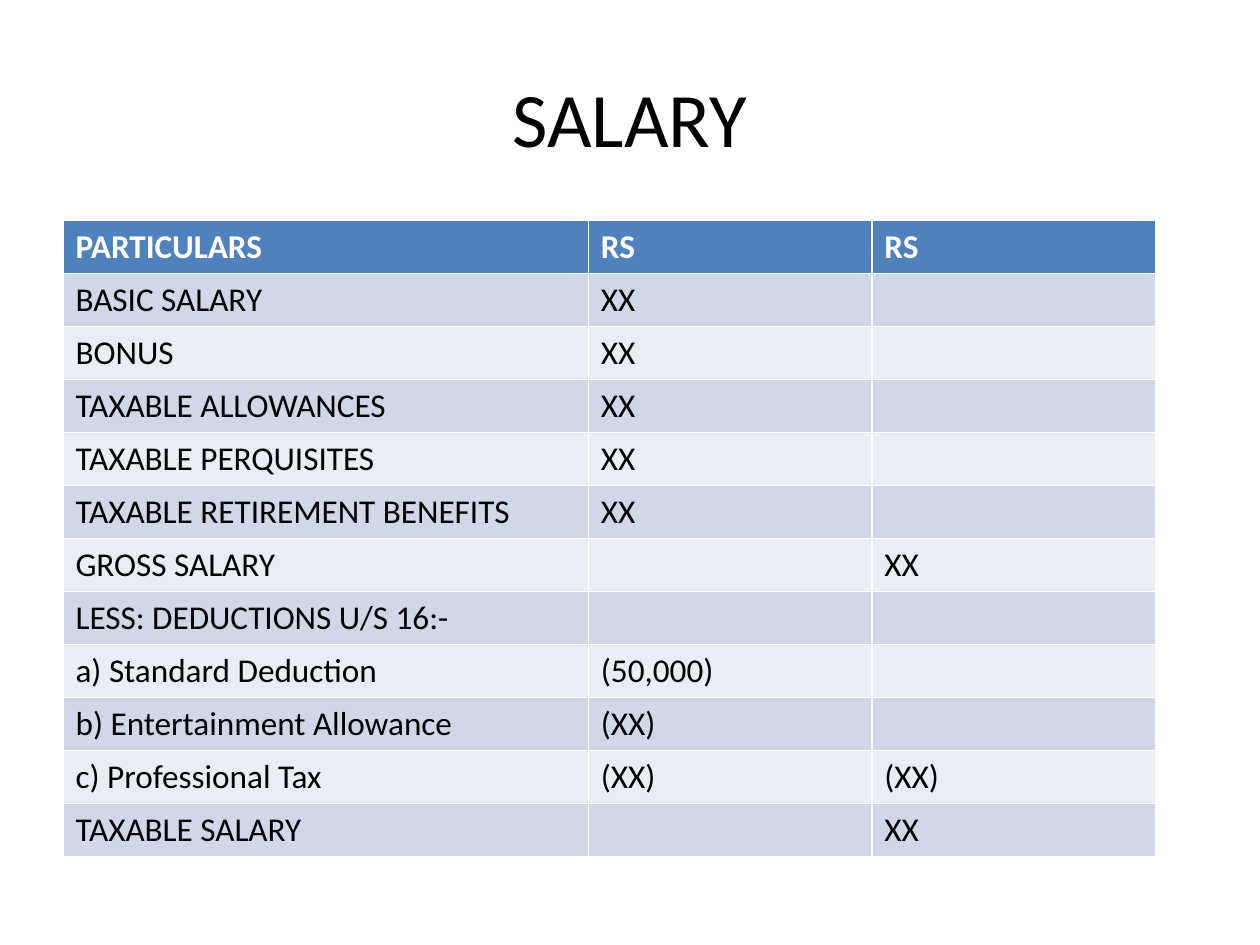
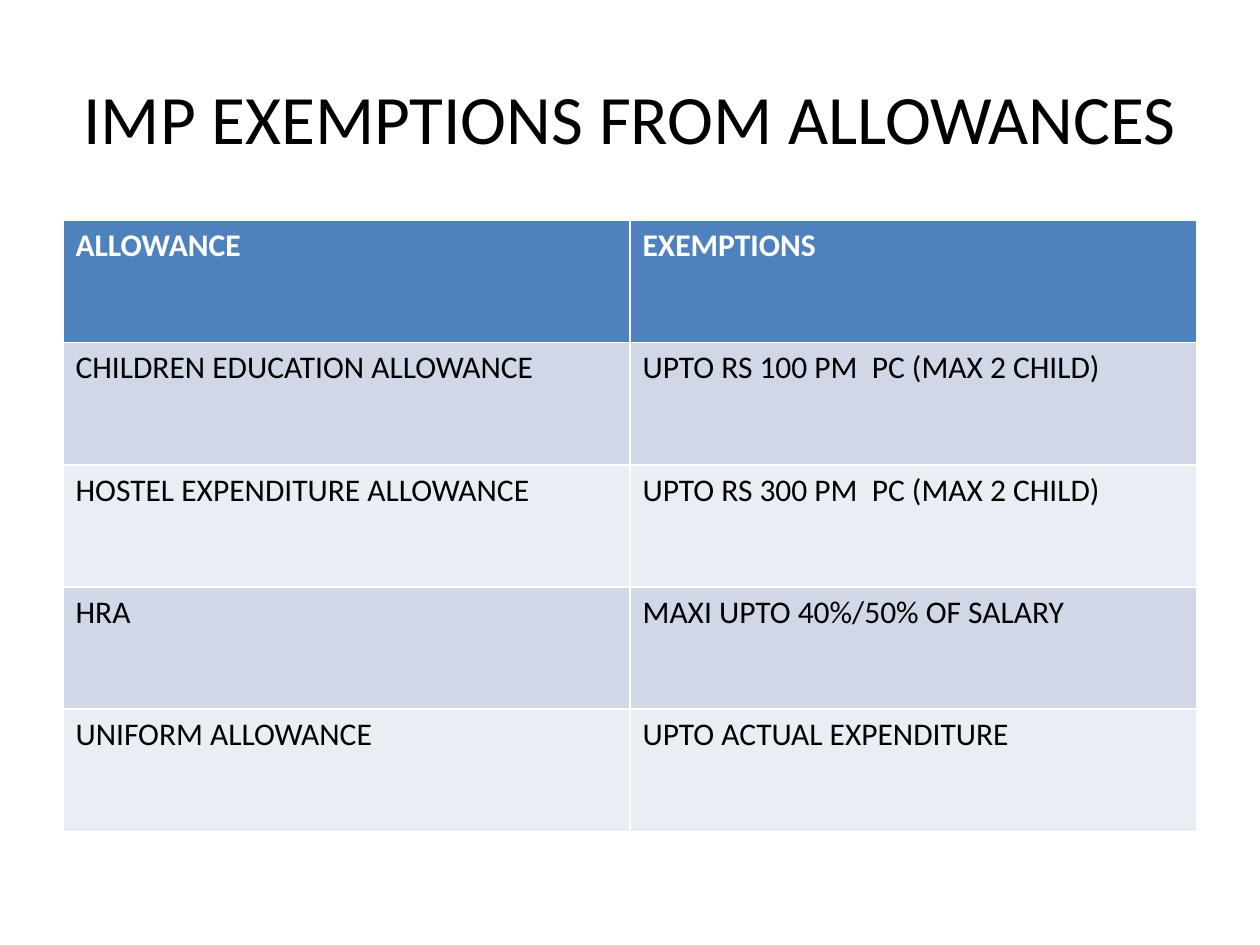
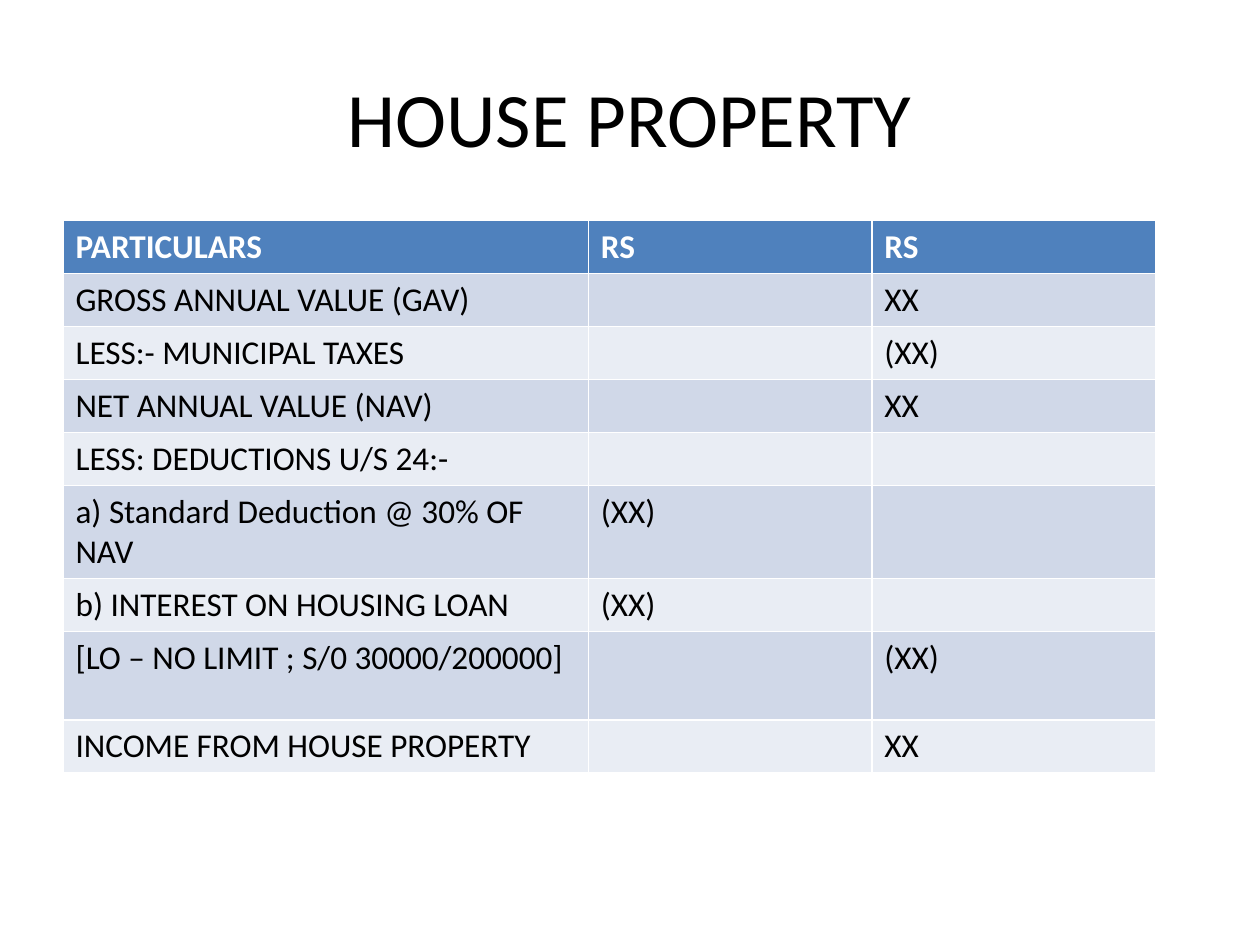
from pptx import Presentation
from pptx.dml.color import RGBColor
from pptx.enum.text import MSO_ANCHOR, MSO_AUTO_SIZE, PP_ALIGN
from pptx.util import Inches, Pt

FONT = "Calibri"
BLACK = RGBColor(0x00, 0x00, 0x00)
WHITE = RGBColor(0xFF, 0xFF, 0xFF)
HEADER_BLUE = RGBColor(0x4F, 0x81, 0xBD)
BAND_DARK = RGBColor(0xD0, 0xD8, 0xE8)
BAND_LIGHT = RGBColor(0xE9, 0xED, 0xF4)

STATEMENT_COLUMNS = [4.17, 2.25, 2.25]
ROW_HEIGHT = 0.42
TALL_ROW_HEIGHT = 0.7

SALARY_ROWS = [
    ("PARTICULARS", "RS", "RS"),
    ("BASIC SALARY", "XX", ""),
    ("BONUS", "XX", ""),
    ("TAXABLE ALLOWANCES", "XX", ""),
    ("TAXABLE PERQUISITES", "XX", ""),
    ("TAXABLE RETIREMENT BENEFITS", "XX", ""),
    ("GROSS SALARY", "", "XX"),
    ("LESS: DEDUCTIONS U/S 16:-", "", ""),
    ("a) Standard Deduction", "(50,000)", ""),
    ("b) Entertainment Allowance", "(XX)", ""),
    ("c) Professional Tax", "(XX)", "(XX)"),
    ("TAXABLE SALARY", "", "XX"),
]
EXEMPTION_ROWS = [
    ("ALLOWANCE", "EXEMPTIONS"),
    ("CHILDREN EDUCATION ALLOWANCE", "UPTO RS 100 PM  PC (MAX 2 CHILD)"),
    ("HOSTEL EXPENDITURE ALLOWANCE", "UPTO RS 300 PM  PC (MAX 2 CHILD)"),
    ("HRA", "MAXI UPTO 40%/50% OF SALARY"),
    ("UNIFORM ALLOWANCE", "UPTO ACTUAL EXPENDITURE"),
]
PROPERTY_ROWS = [
    ("PARTICULARS", "RS", "RS"),
    ("GROSS ANNUAL VALUE (GAV)", "", "XX"),
    ("LESS:- MUNICIPAL TAXES", "", "(XX)"),
    ("NET ANNUAL VALUE (NAV)", "", "XX"),
    ("LESS: DEDUCTIONS U/S 24:-", "", ""),
    ("a) Standard Deduction @ 30% OF NAV", "(XX)", ""),
    ("b) INTEREST ON HOUSING LOAN", "(XX)", ""),
    ("[LO – NO LIMIT ; S/0 30000/200000]", "", "(XX)"),
    ("INCOME FROM HOUSE PROPERTY", "", "XX"),
]

SLIDES = [
    ("SALARY", 44, SALARY_ROWS, STATEMENT_COLUMNS, 19, ROW_HEIGHT, ()),
    ("IMP EXEMPTIONS FROM ALLOWANCES", 39.6, EXEMPTION_ROWS, [4.5, 4.5], 18, 0.97, ()),
    ("HOUSE PROPERTY", 44, PROPERTY_ROWS, STATEMENT_COLUMNS, 19, ROW_HEIGHT, (5, 7)),
]


def add_run(paragraph, text, size, color, bold=False):
    run = paragraph.add_run()
    run.text = text
    run.font.name = FONT
    run.font.size = Pt(size)
    run.font.bold = bold
    run.font.color.rgb = color


presentation = Presentation()
presentation.slide_width = Inches(10)
presentation.slide_height = Inches(7.5)

for heading, heading_size, rows, column_widths, text_size, row_height, tall_rows in SLIDES:
    slide = presentation.slides.add_slide(presentation.slide_layouts[5])
    title = slide.shapes.title
    title.left, title.top = Inches(0.5), Inches(0.3)
    title.width, title.height = Inches(9), Inches(1.25)
    title.text_frame.auto_size = MSO_AUTO_SIZE.NONE
    title.text_frame.vertical_anchor = MSO_ANCHOR.MIDDLE
    title_paragraph = title.text_frame.paragraphs[0]
    title_paragraph.alignment = PP_ALIGN.CENTER
    add_run(title_paragraph, heading, heading_size, BLACK)

    heights = [TALL_ROW_HEIGHT if index in tall_rows else row_height for index in range(len(rows))]
    table = slide.shapes.add_table(
        len(rows), len(column_widths), Inches(0.5), Inches(1.75),
        Inches(sum(column_widths)), Inches(sum(heights)),
    ).table
    for column, width in zip(table.columns, column_widths):
        column.width = Inches(width)

    for row_index, texts in enumerate(rows):
        table.rows[row_index].height = Inches(heights[row_index])
        is_header = row_index == 0
        band = BAND_DARK if row_index % 2 else BAND_LIGHT
        for column_index, text in enumerate(texts):
            cell = table.cell(row_index, column_index)
            cell.fill.solid()
            cell.fill.fore_color.rgb = HEADER_BLUE if is_header else band
            if text:
                paragraph = cell.text_frame.paragraphs[0]
                add_run(paragraph, text, text_size, WHITE if is_header else BLACK, is_header)

presentation.save("out.pptx")
